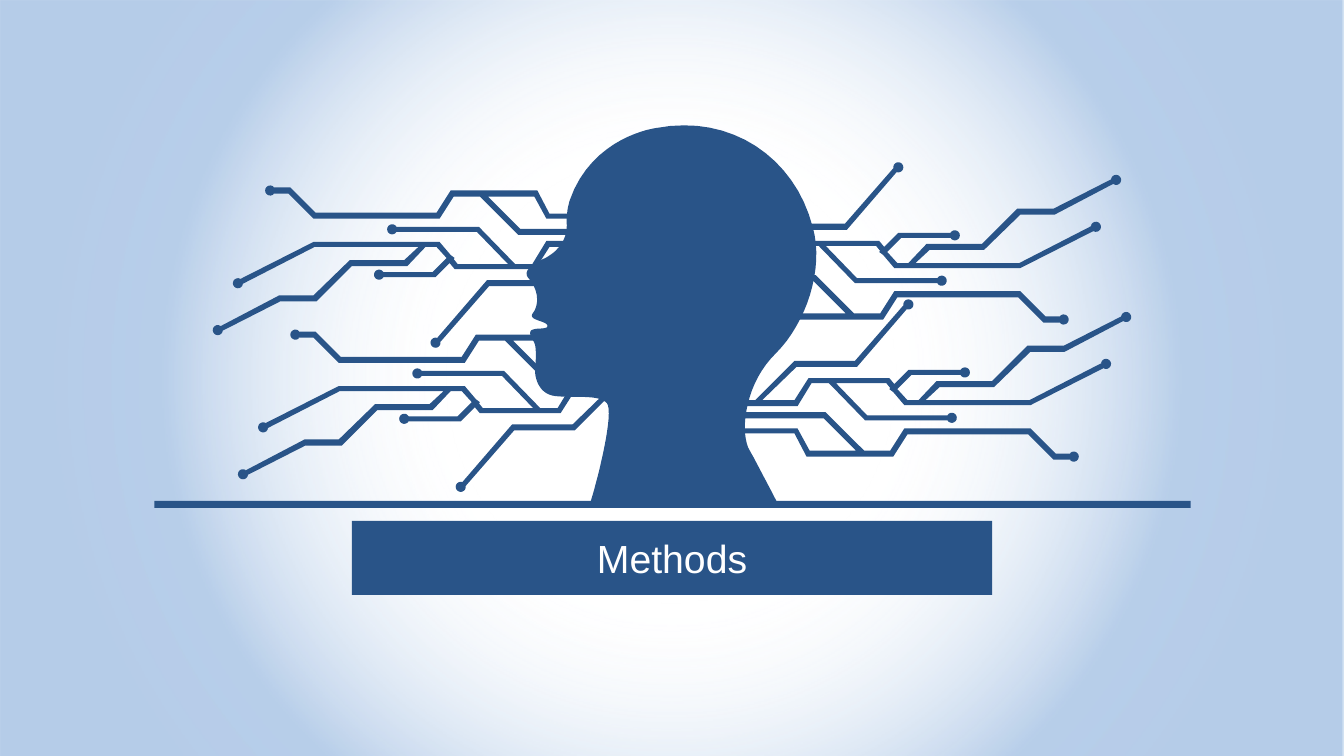
from math import atan2, cos, pi, sin

from pptx import Presentation
from pptx.dml.color import RGBColor
from pptx.enum.shapes import MSO_SHAPE
from pptx.enum.text import MSO_ANCHOR, MSO_AUTO_SIZE, PP_ALIGN
from pptx.oxml import parse_xml
from pptx.oxml.ns import nsdecls
from pptx.util import Inches, Pt

COLORS = {"navy": "295488", "glow": "F9FBFD", "edge": "87ADDB", "text": "FFFFFF"}
SLIDE_WIDTH, SLIDE_HEIGHT = 13.33, 7.5
GLOW_STOPS = [(29, "glow", 0), (66, "edge", 58), (80, "edge", 61)]  # position, colour, opacity
TITLE = "Methods"
TITLE_BOX = (3.49, 5.3, 6.35, 0.47)
GROUND_LINE = (1.53, 4.97, 10.28, 0.07)
UNITS = 1000
DOT_RADIUS = 0.05

# A pair is a corner; "dot" with a centre is the round end of a trace.
CIRCUIT = [
    [
        (9.3, 2.81), (8.48, 2.81), (8.12, 2.44), (7.95, 2.44), (7.81, 2.67), (7.21, 2.67),
        (7.21, 2.61), (7.39, 2.61), (7.78, 2.22), (8.38, 2.22), (8.86, 1.67),
        ("dot", 8.91, 1.66), (8.9, 1.7), (8.4, 2.28), (7.8, 2.28), (7.46, 2.61),
        (7.78, 2.61), (7.92, 2.39), (8.72, 2.39), (8.77, 2.45), (8.91, 2.31), (9.43, 2.31),
        ("dot", 9.47, 2.335), (9.43, 2.36), (8.94, 2.36), (8.8, 2.5), (8.9, 2.61),
        (9.01, 2.61), (9.19, 2.42), (9.74, 2.42), (10.09, 2.07), (10.45, 2.07), (11.02, 1.78),
        ("dot", 11.07, 1.785), (11.05, 1.82), (10.46, 2.13), (10.12, 2.13), (9.76, 2.48),
        (9.22, 2.48), (9.08, 2.61), (10.11, 2.61), (10.83, 2.24),
        ("dot", 10.87, 2.25), (10.85, 2.29), (10.12, 2.66), (8.87, 2.66), (8.76, 2.53),
        (8.72, 2.5), (8.73, 2.49), (8.69, 2.44), (8.19, 2.44), (8.5, 2.76), (9.3, 2.76),
        ("dot", 9.34, 2.785),
    ],
    [
        (10.52, 3.2), (10.35, 3.2), (10.1, 2.95), (8.9, 2.95), (8.76, 3.17), (7.9, 3.17),
        (7.78, 2.94), (7.21, 2.94), (7.21, 2.89), (7.81, 2.89), (7.93, 3.11), (8.39, 3.11),
        (8.07, 2.79), (7.21, 2.79), (7.21, 2.73), (8.09, 2.73), (8.47, 3.11), (8.73, 3.11),
        (8.87, 2.89), (10.12, 2.89), (10.37, 3.14), (10.52, 3.14),
        ("dot", 10.55, 3.17),
    ],
]
# direction (-1 is a half turn), shift right, shift down
RIGHT_CIRCUITS = [(1, 0, 0), (1, 0.1, 1.36)]
LEFT_CIRCUITS = [(-1, 13.23, 5.06), (-1, 13.48, 6.49)]

# A pair is a corner; six numbers are two control points and the end of a curve.
HEAD = [
    (5.86, 4.97), (7.7, 4.97),
    (7.65, 4.87, 7.46, 4.51, 7.42, 4.44), (7.34, 4.24, 7.4, 3.79, 7.7, 3.5),
    (7.99, 3.21, 8.18, 2.67, 8.06, 2.25), (7.88, 1.56, 7.25, 1.13, 6.51, 1.27),
    (6.51, 1.27, 5.87, 1.35, 5.65, 1.99), (5.65, 1.99, 5.62, 2.08, 5.62, 2.2),
    (5.64, 2.4, 5.5, 2.51, 5.41, 2.56), (5.32, 2.6, 5.16, 2.68, 5.25, 2.77),
    (5.35, 2.89, 5.34, 3.03, 5.29, 3.1), (5.22, 3.18, 5.42, 3.18, 5.43, 3.23),
    (5.44, 3.28, 5.28, 3.24, 5.26, 3.29), (5.25, 3.35, 5.3, 3.37, 5.31, 3.44),
    (5.32, 3.51, 5.31, 3.63, 5.31, 3.67), (5.3, 3.7, 5.32, 3.91, 5.51, 3.93),
    (5.7, 3.95, 5.94, 3.91, 6.02, 4), (6.09, 4.1, 5.94, 4.71, 5.86, 4.97),
]


def dot_points(before, dot, after, steps=14):
    """Go clockwise round a dot from one neighbouring corner to the next."""
    _, x, y = dot
    start = atan2(before[1] - y, before[0] - x)
    sweep = (atan2(after[1] - y, after[0] - x) - start) % (2 * pi)
    angles = [start + sweep * step / steps for step in range(steps + 1)]
    return [(x + DOT_RADIUS * cos(angle), y + DOT_RADIUS * sin(angle)) for angle in angles]


def curve_points(start, curve, steps=16):
    """Points along a cubic curve, without its start."""
    first, second, end = curve[:2], curve[2:4], curve[4:]
    points = []
    for step in range(1, steps + 1):
        t = step / steps
        weights = ((1 - t) ** 3, 3 * t * (1 - t) ** 2, 3 * t * t * (1 - t), t ** 3)
        knots = (start, first, second, end)
        points.append(tuple(sum(w * k[axis] for w, k in zip(weights, knots)) for axis in (0, 1)))
    return points


def flatten(outline):
    """Turn corners, dots and curves into one list of points."""
    points = []
    for index, item in enumerate(outline):
        if item[0] == "dot":
            points += dot_points(outline[index - 1], item, outline[(index + 1) % len(outline)])
        elif len(item) == 6:
            points += curve_points(points[-1], item)
        else:
            points.append(item)
    return points


def paint(shape, color):
    shape.shadow.inherit = False
    shape.fill.solid()
    shape.fill.fore_color.rgb = RGBColor.from_string(COLORS[color])
    shape.line.fill.background()


def add_outline(shapes, contours, direction=1, right=0, down=0):
    builder = None
    for contour in contours:
        points = [((direction * x + right) * UNITS, (direction * y + down) * UNITS)
                  for x, y in flatten(contour)]
        if builder is None:
            builder = shapes.build_freeform(*points[0], scale=Inches(1) / UNITS)
        else:
            builder.move_to(*points[0])
        builder.add_line_segments(points[1:], close=True)
    paint(builder.convert_to_shape(), "navy")


def add_glow(slide):
    """Full-slide radial gradient behind everything else."""
    glow = slide.shapes.add_shape(MSO_SHAPE.RECTANGLE, 0, 0, Inches(SLIDE_WIDTH), Inches(SLIDE_HEIGHT))
    paint(glow, "glow")
    stops = "".join(
        f'<a:gs pos="{position * 1000}"><a:srgbClr val="{COLORS[color]}">'
        f'<a:alpha val="{opacity * 1000}"/></a:srgbClr></a:gs>'
        for position, color, opacity in GLOW_STOPS)
    gradient = parse_xml(
        f'<a:gradFill {nsdecls("a")} rotWithShape="1"><a:gsLst>{stops}</a:gsLst><a:path path="circle">'
        '<a:fillToRect l="50000" t="50000" r="50000" b="50000"/></a:path></a:gradFill>')
    properties = glow.element.spPr
    properties.replace(properties.find("{*}solidFill"), gradient)
    slide.shapes.title.element.addprevious(glow.element)


def add_title(slide):
    title = slide.shapes.title
    title.left, title.top, title.width, title.height = map(Inches, TITLE_BOX)
    paint(title, "navy")
    frame = title.text_frame
    frame.text = TITLE
    frame_format = {
        "margin_left": Inches(0.04), "margin_right": Inches(0.04),
        "margin_top": 0, "margin_bottom": 0, "word_wrap": True,
        "vertical_anchor": MSO_ANCHOR.MIDDLE, "auto_size": MSO_AUTO_SIZE.SHAPE_TO_FIT_TEXT,
    }
    for name, value in frame_format.items():
        setattr(frame, name, value)
    para = frame.paragraphs[0]
    para.alignment, para.line_spacing = PP_ALIGN.CENTER, 1.0
    font = para.runs[0].font
    for name, value in {"name": "Arial", "size": Pt(28), "bold": False}.items():
        setattr(font, name, value)
    font.color.rgb = RGBColor.from_string(COLORS["text"])


def main():
    deck = Presentation()
    deck.slide_width, deck.slide_height = Inches(SLIDE_WIDTH), Inches(SLIDE_HEIGHT)
    slide = deck.slides.add_slide(deck.slide_layouts[5])
    add_glow(slide)
    add_title(slide)
    artwork = slide.shapes.add_group_shape().shapes
    for placement in RIGHT_CIRCUITS + LEFT_CIRCUITS:
        add_outline(artwork, CIRCUIT, *placement)
    add_outline(artwork, [HEAD])
    paint(artwork.add_shape(MSO_SHAPE.RECTANGLE, *map(Inches, GROUND_LINE)), "navy")
    deck.save("out.pptx")


if __name__ == "__main__":
    main()
